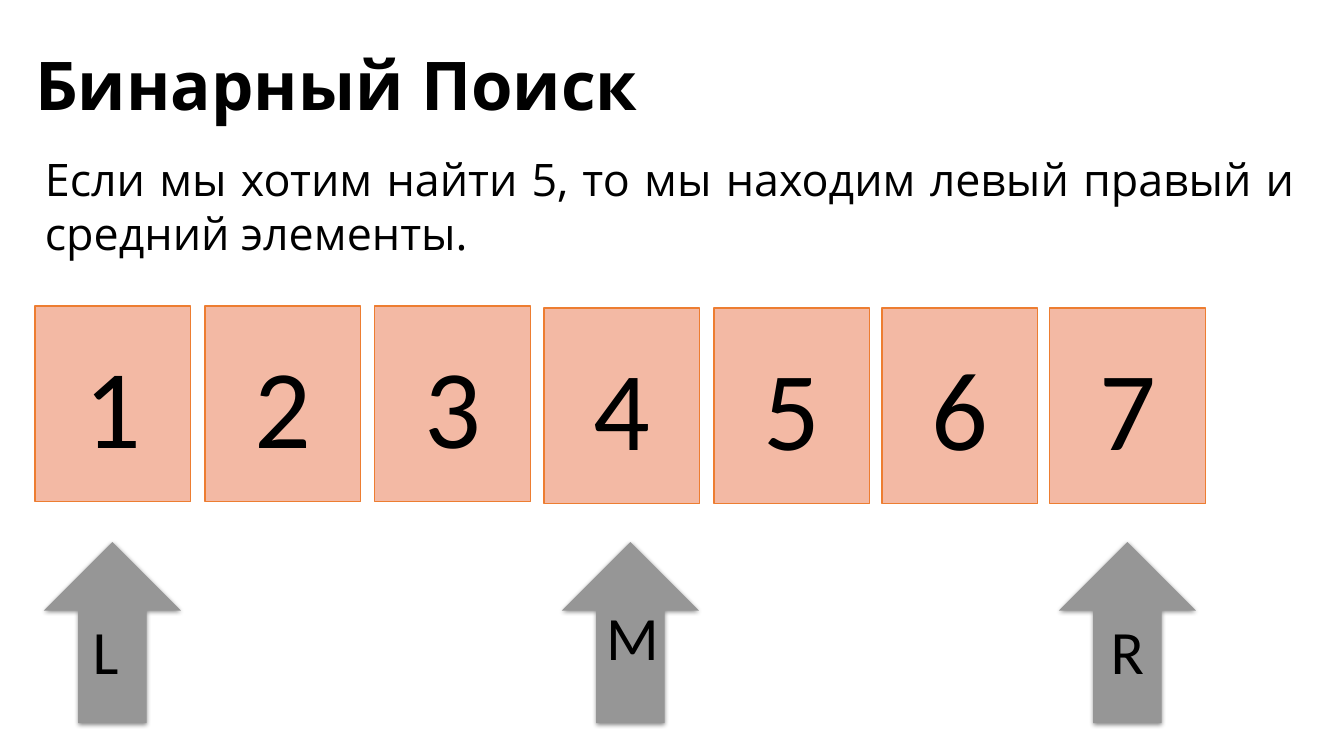
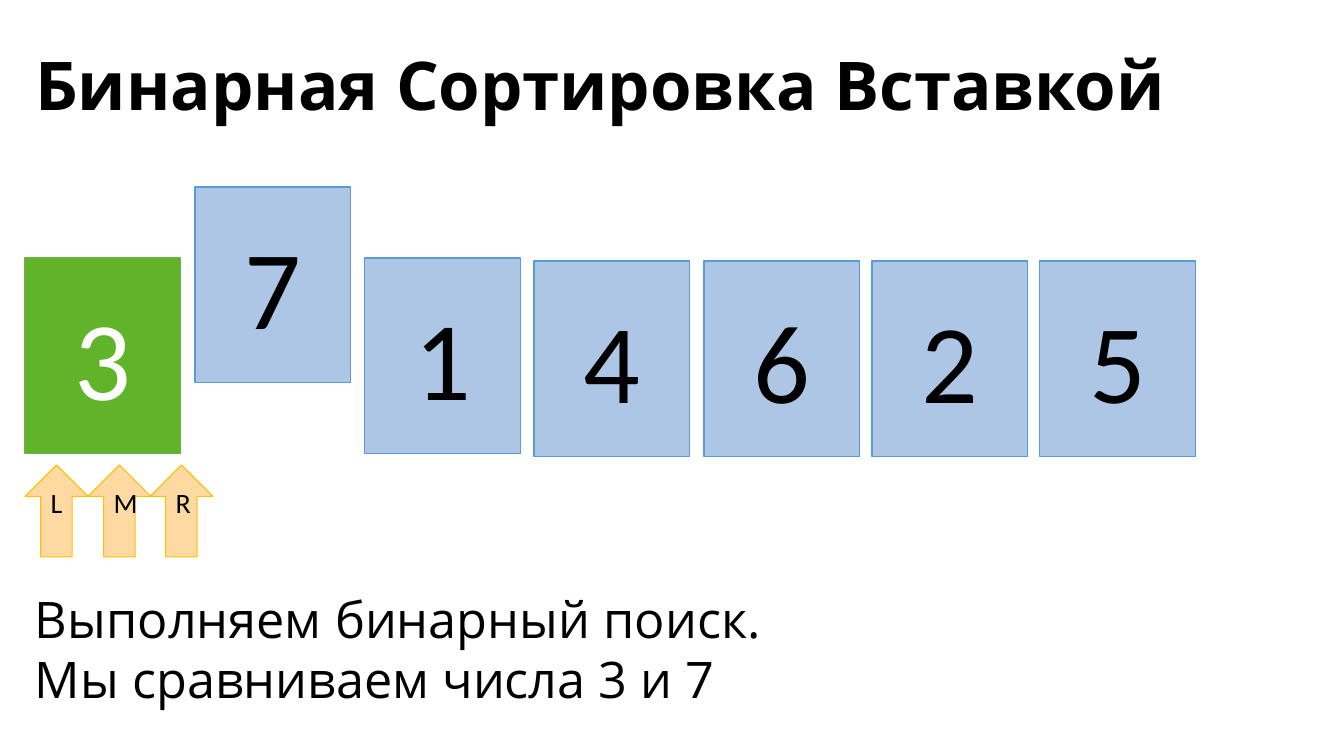
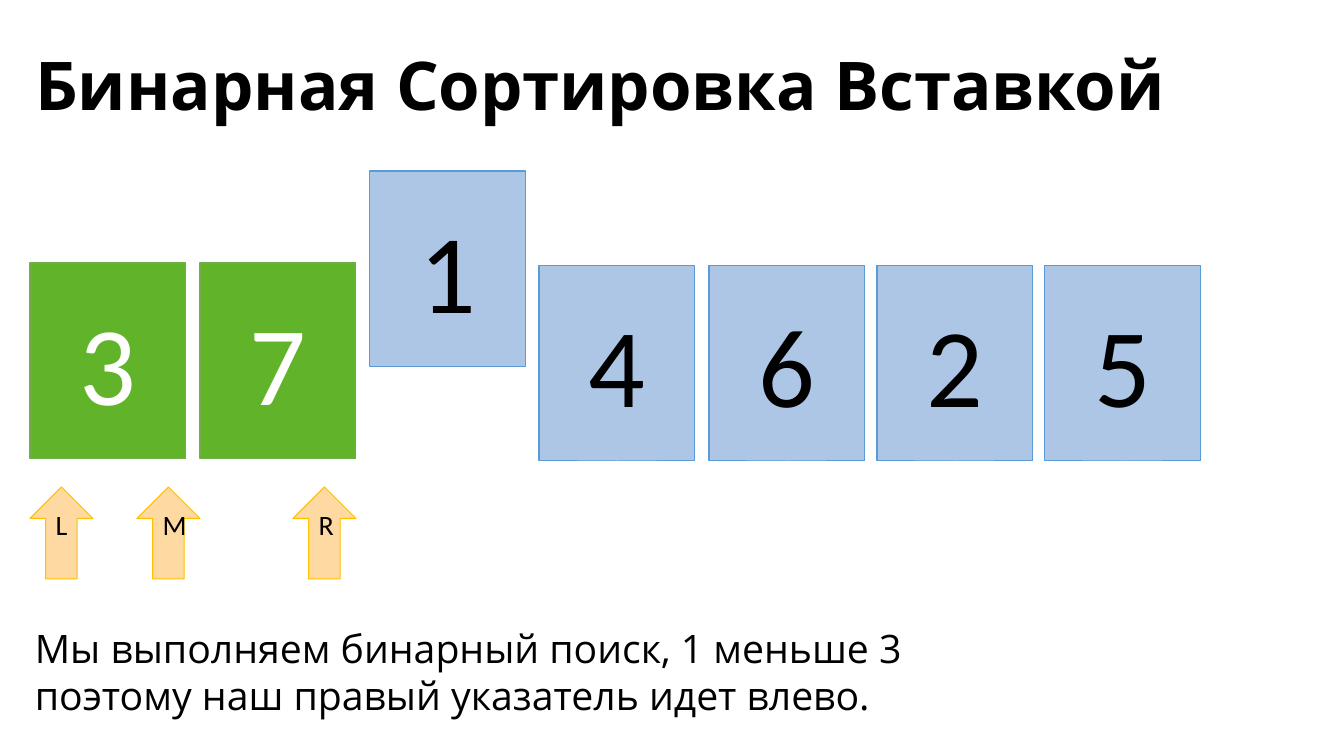
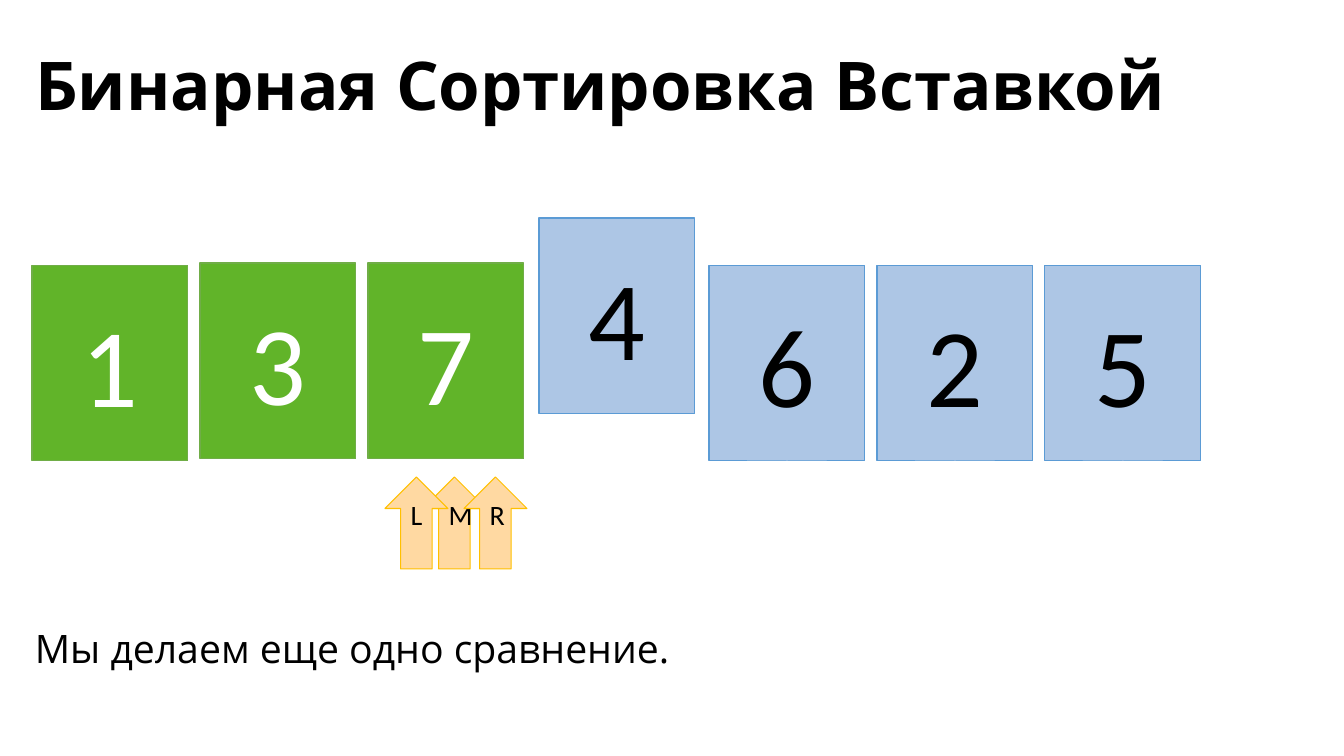
"""Build four slides on binary search and binary insertion sort."""
from lxml.etree import SubElement
from pptx import Presentation
from pptx.dml.color import RGBColor
from pptx.enum.shapes import MSO_SHAPE
from pptx.enum.text import MSO_ANCHOR, MSO_AUTO_SIZE, PP_ALIGN
from pptx.oxml.ns import qn
from pptx.util import Emu, Pt

PX = 12192000 / 1344
BLACK, WHITE = "000000", "FFFFFF"
SEARCH = ("F3B9A4", "ED7D31", BLACK)
SORTED = ("61B429", "70AD47", WHITE)
WAITING = ("ADC6E5", "5B9BD5", BLACK)
BIG_ARROW = ("969696", None, BLACK)
SMALL_ARROW = ("FFD9A2", "FFC000", BLACK)
CARD_LEFTS = [0, 170, 340, 509, 679, 847, 1015]
SORT_TITLE = "Бинарная Сортировка Вставкой"

SLIDES = [
    {
        "title": "Бинарный Поиск",
        "digits": "1234567", "styles": [SEARCH] * 7,
        "left": 35, "offsets": CARD_LEFTS, "tops": [306] * 3 + [308] * 4,
        "arrow": BIG_ARROW, "arrow_size": (137, 181), "arrow_top": 542, "grouped": False,
        "arrows": [(562, [("M", 44), (" ", 16)]), (44, [("L ", 44)]), (1059, [("R", 44)])],
        "text_at": (35, 147, 119), "text_size": 32, "align": PP_ALIGN.JUSTIFY,
        "lines": ["Если мы хотим найти 5, то мы находим левый правый и средний элементы."],
    },
    {
        "title": SORT_TITLE,
        "digits": "3714625", "styles": [SORTED] + [WAITING] * 6,
        "left": 25, "offsets": CARD_LEFTS, "tops": [258, 187, 258] + [261] * 4,
        "arrow": SMALL_ARROW, "arrow_size": (63, 92), "arrow_top": 465, "grouped": True,
        "arrows": [(88, [("M ", 20)]), (25, [("L ", 20)]), (150, [("R ", 20)])],
        "text_at": (25, 583, 132), "text_size": 36, "align": PP_ALIGN.LEFT,
        "lines": ["Выполняем бинарный поиск.", "Мы сравниваем числа 3 и 7"],
    },
    {
        "title": SORT_TITLE,
        "digits": "3714625", "styles": [SORTED] * 2 + [WAITING] * 5,
        "left": 30, "offsets": CARD_LEFTS, "tops": [263, 263, 171] + [265] * 4,
        "arrow": SMALL_ARROW, "arrow_size": (63, 92), "arrow_top": 487, "grouped": False,
        "arrows": [(137, [("M ", 20)]), (30, [("L ", 20)]), (293, [("R ", 20)])],
        "text_at": (25, 619, 105), "text_size": 28, "align": PP_ALIGN.LEFT,
        "lines": ["Мы выполняем бинарный поиск, 1 меньше 3",
                  "поэтому наш правый указатель идет влево."],
    },
    {
        "title": SORT_TITLE,
        "digits": "1374625", "styles": [SORTED] * 3 + [WAITING] * 4,
        "left": 30, "offsets": [2, 170, 338] + CARD_LEFTS[3:],
        "tops": [265, 263, 263, 218] + [265] * 3,
        "arrow": SMALL_ARROW, "arrow_size": (63, 92), "arrow_top": 477, "grouped": False,
        "arrows": [(423, [("M ", 20)]), (385, [("L ", 20)]), (464, [("R ", 20)])],
        "text_at": (25, 619, 57), "text_size": 28, "align": PP_ALIGN.LEFT,
        "lines": ["Мы делаем еще одно сравнение."],
    },
]


def add_span(para, text, size, font="Open Sans", color=BLACK, bold=False):
    """Add one formatted run to a paragraph."""
    span = para.add_run()
    span.text = text
    span.font.size = Pt(size)
    span.font.name = font
    span.font.bold = bold
    span.font.color.rgb = RGBColor.from_string(color)


def add_figure(shapes, kind, bounds, style, spans):
    """Add a filled shape with centred text and return it."""
    fill, line, ink = style
    figure = shapes.add_shape(kind, *[Emu(round(length * PX)) for length in bounds])
    figure.shadow.inherit = False
    figure.fill.solid()
    figure.fill.fore_color.rgb = RGBColor.from_string(fill)
    if line:
        figure.line.color.rgb = RGBColor.from_string(line)
        figure.line.width = Pt(0.75)
    else:
        figure.line.fill.background()
    figure.text_frame.word_wrap = True
    figure.text_frame.vertical_anchor = MSO_ANCHOR.MIDDLE
    para = figure.text_frame.paragraphs[0]
    para.alignment = PP_ALIGN.CENTER
    for text, size in spans:
        add_span(para, text, size, "Calibri", ink)
    return figure


deck = Presentation()
deck.slide_width, deck.slide_height = Emu(round(1344 * PX)), Emu(round(756 * PX))
layout = deck.slide_layouts[5]
frame = layout.placeholders[0]
frame.left, frame.top, frame.width, frame.height = [
    Emu(round(length * PX)) for length in (25, 29, 1290, 101)]
frame.text_frame.vertical_anchor = MSO_ANCHOR.BOTTOM
frame.text_frame.auto_size = MSO_AUTO_SIZE.NONE

for content in SLIDES:
    page = deck.slides.add_slide(layout)
    para = page.shapes.title.text_frame.paragraphs[0]
    para.alignment = PP_ALIGN.LEFT
    para.line_spacing = 0.9
    add_span(para, content["title"], 48, bold=True)

    for digit, style, offset, top in zip(
            content["digits"], content["styles"], content["offsets"], content["tops"]):
        bounds = (content["left"] + offset, top, 156, 196)
        add_figure(page.shapes, MSO_SHAPE.RECTANGLE, bounds, style, [(digit, 80)])

    holder = page.shapes.add_group_shape().shapes if content["grouped"] else page.shapes
    for left, spans in content["arrows"]:
        bounds = (left, content["arrow_top"], *content["arrow_size"])
        arrow = add_figure(holder, MSO_SHAPE.UP_ARROW, bounds, content["arrow"], spans)
        if content["arrow"] is BIG_ARROW:
            effects = arrow.element.spPr.find(qn("a:effectLst"))
            shadow = SubElement(effects, qn("a:outerShdw"), blurRad=str(Pt(3.5)),
                                dist=str(Pt(1.1)), dir="5400000", rotWithShape="0")
            tint = SubElement(shadow, qn("a:srgbClr"), val=BLACK)
            SubElement(tint, qn("a:alpha"), val="45000")

    left, top, height = content["text_at"]
    box = page.shapes.add_textbox(*[Emu(round(length * PX)) for length in (left, top, 1271, height)])
    box.text_frame.word_wrap = True
    for index, line in enumerate(content["lines"]):
        para = box.text_frame.add_paragraph() if index else box.text_frame.paragraphs[0]
        para.alignment = content["align"]
        add_span(para, line, content["text_size"])

deck.save("out.pptx")
